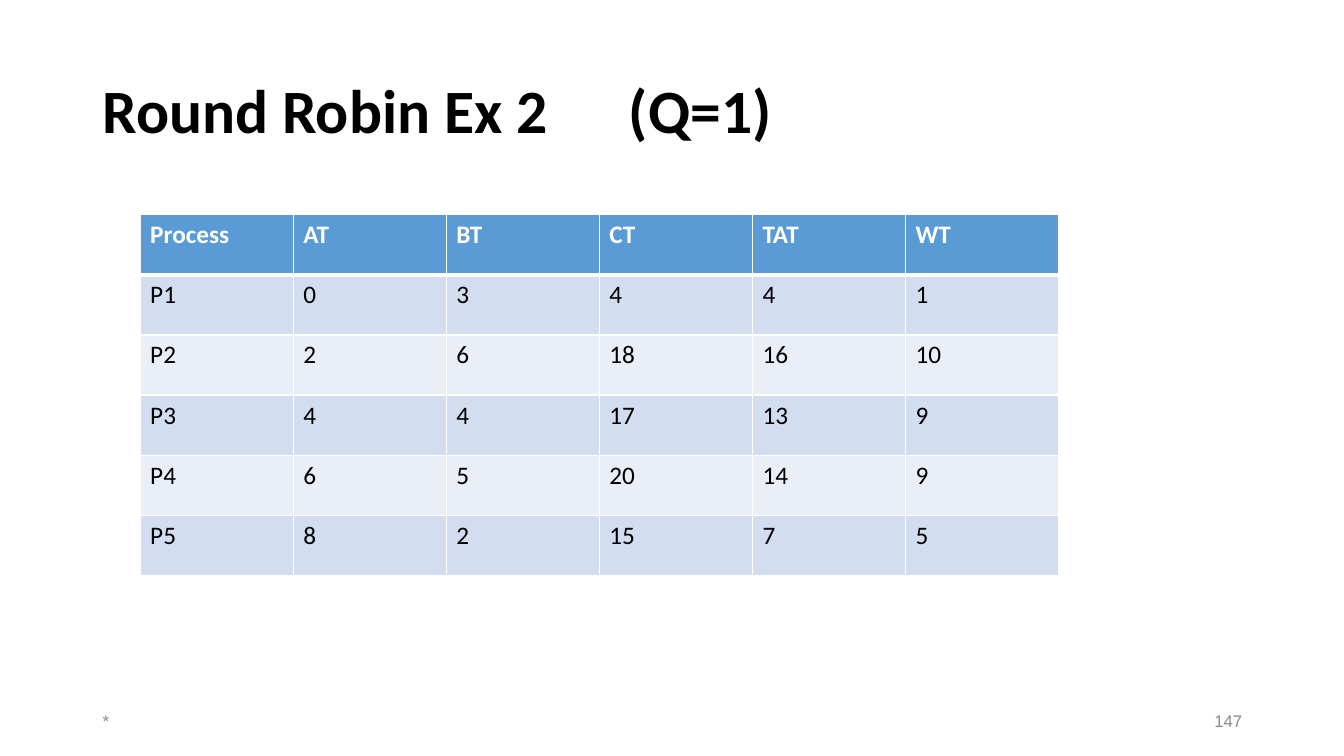
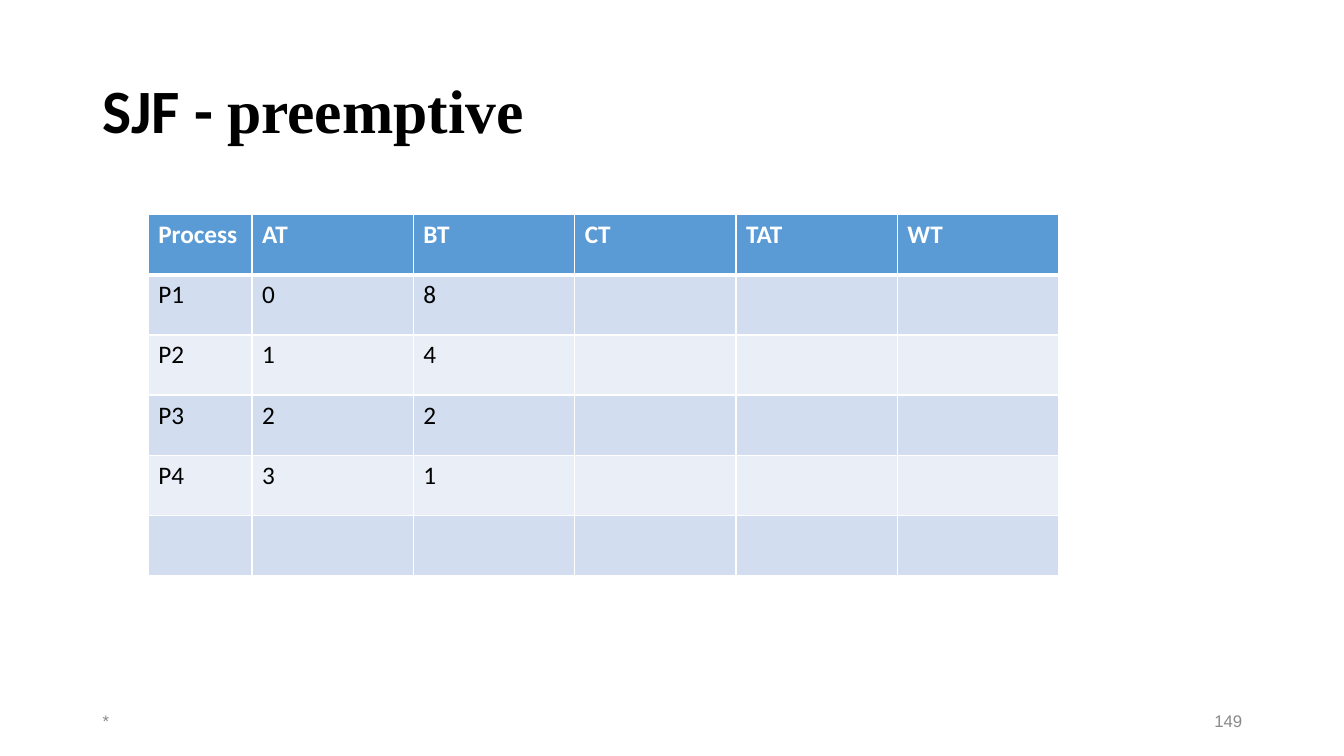
from dataclasses import dataclass
from lxml.etree import SubElement
from pptx import Presentation
from pptx.dml.color import RGBColor
from pptx.enum.text import MSO_ANCHOR, PP_ALIGN
from pptx.oxml.ns import qn
from pptx.util import Inches, Pt

# Content: title runs are (text, font role); a tab jumps to the title tab stop
HEADER = ("Process", "AT", "BT", "CT", "TAT", "WT")
SLIDES = [
    {
        "title": [("Round Robin Ex 2\t(Q=1)", "body")],
        "number": "147",
        "table_left": 1.39,
        "column_weights": (1, 1, 1, 1, 1, 1),
        "rows": [
            ("P1", 0, 3, 4, 4, 1),
            ("P2", 2, 6, 18, 16, 10),
            ("P3", 4, 4, 17, 13, 9),
            ("P4", 6, 5, 20, 14, 9),
            ("P5", 8, 2, 15, 7, 5),
        ],
    },
    {
        "title": [("SJF - ", "body"), ("preemptive", "serif")],
        "number": "149",
        "table_left": 1.47,
        "column_weights": (1.03, 1.6, 1.6, 1.6, 1.6, 1.6),
        "rows": [("P1", 0, 8), ("P2", 1, 4), ("P3", 2, 2), ("P4", 3, 1), ()],
    },
]
DATE_TEXT = "*"


@dataclass(frozen=True)
class Theme:
    body: str = "Calibri"
    serif: str = "Times New Roman"
    footer: str = "Arial"
    title_size: int = 44
    table_size: int = 18
    footer_size: int = 12
    ink: str = "000000"
    paper: str = "FFFFFF"
    muted: str = "898989"
    header_fill: str = "5B9BD5"
    bands: tuple = ("D2DEEF", "EAEFF7")
    thin: int = 1
    thick: int = 3


THEME = Theme()

# Layout in inches
SLIDE_WIDTH, SLIDE_HEIGHT = 13.33, 7.5
MARGIN, CONTENT_WIDTH = 0.92, 11.5
TITLE_TOP, TITLE_HEIGHT, TITLE_TAB = 0.4, 1.45, 5.22
FOOTER_TOP, FOOTER_WIDTH, FOOTER_HEIGHT = 6.95, 3, 0.4
TABLE_TOP, TABLE_RIGHT, TABLE_HEIGHT = 2.13, 10.5, 3.58


def add_run(paragraph, text, font_name, size, color, bold=False):
    run = paragraph.add_run()
    run.text = text
    run.font.name = font_name
    run.font.size = Pt(size)
    run.font.bold = bold
    run.font.color.rgb = RGBColor.from_string(color)


def add_box(slide, left, top, width, height, align=PP_ALIGN.LEFT):
    """Add a middle-anchored text box and return its first paragraph."""
    box = slide.shapes.add_textbox(*map(Inches, (left, top, width, height)))
    frame = box.text_frame
    frame.word_wrap = True
    frame.vertical_anchor = MSO_ANCHOR.MIDDLE
    paragraph = frame.paragraphs[0]
    paragraph.alignment = align
    return paragraph


def add_title(slide, runs):
    paragraph = add_box(slide, MARGIN, TITLE_TOP, CONTENT_WIDTH, TITLE_HEIGHT)
    tabs = SubElement(paragraph._p.get_or_add_pPr(), qn("a:tabLst"))
    SubElement(tabs, qn("a:tab"), pos=str(Inches(TITLE_TAB)), algn="l")
    paragraph.line_spacing = 0.9
    for text, role in runs:
        add_run(paragraph, text, getattr(THEME, role), THEME.title_size, THEME.ink, True)


def add_footer(slide, number):
    number_left = MARGIN + CONTENT_WIDTH - FOOTER_WIDTH
    for text, left, align in (
        (DATE_TEXT, MARGIN, PP_ALIGN.LEFT),
        (number, number_left, PP_ALIGN.RIGHT),
    ):
        paragraph = add_box(slide, left, FOOTER_TOP, FOOTER_WIDTH, FOOTER_HEIGHT, align)
        add_run(paragraph, text, THEME.footer, THEME.footer_size, THEME.muted)


def set_borders(cell, row_index):
    """Draw thin borders, with a thick rule between header and body."""
    widths = {
        "a:lnL": THEME.thin,
        "a:lnR": THEME.thin,
        "a:lnT": THEME.thick if row_index == 1 else THEME.thin,
        "a:lnB": THEME.thick if row_index == 0 else THEME.thin,
    }
    properties = cell._tc.get_or_add_tcPr()
    for tag, width in widths.items():
        line = SubElement(properties, qn(tag), w=str(Pt(width)))
        SubElement(SubElement(line, qn("a:solidFill")), qn("a:srgbClr"), val=THEME.paper)


def add_process_table(slide, left, weights, body_rows):
    rows = [HEADER, *body_rows]
    width = TABLE_RIGHT - left
    frame = slide.shapes.add_table(
        len(rows), len(HEADER), *map(Inches, (left, TABLE_TOP, width, TABLE_HEIGHT))
    )
    table = frame.table
    table.horz_banding = False
    for column, weight in zip(table.columns, weights):
        column.width = Inches(width * weight / sum(weights))

    for row_index, values in enumerate(rows):
        table.rows[row_index].height = Inches(TABLE_HEIGHT / len(rows))
        is_header = row_index == 0
        fill = THEME.header_fill if is_header else THEME.bands[(row_index - 1) % 2]
        color = THEME.paper if is_header else THEME.ink
        for column_index in range(len(HEADER)):
            cell = table.cell(row_index, column_index)
            set_borders(cell, row_index)
            cell.fill.solid()
            cell.fill.fore_color.rgb = RGBColor.from_string(fill)
            if column_index < len(values):
                add_run(cell.text_frame.paragraphs[0], str(values[column_index]),
                        THEME.body, THEME.table_size, color, is_header)


def main():
    presentation = Presentation()
    presentation.slide_width = Inches(SLIDE_WIDTH)
    presentation.slide_height = Inches(SLIDE_HEIGHT)
    blank_layout = presentation.slide_layouts[6]
    for content in SLIDES:
        slide = presentation.slides.add_slide(blank_layout)
        add_title(slide, content["title"])
        add_footer(slide, content["number"])
        add_process_table(
            slide, content["table_left"], content["column_weights"], content["rows"]
        )
    presentation.save("out.pptx")


if __name__ == "__main__":
    main()
